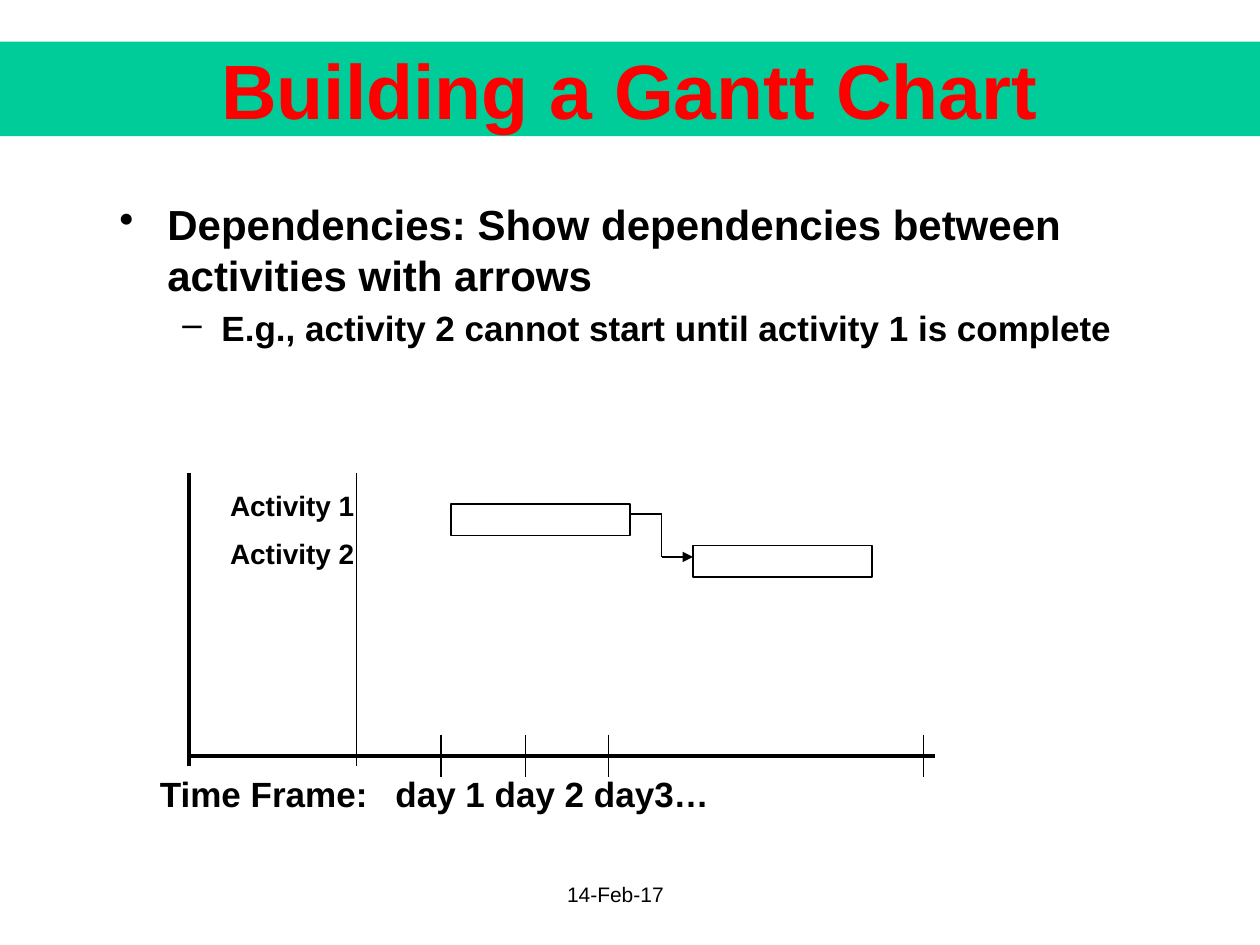
"""Build a slide that shows a dependency arrow in a Gantt chart."""
from typing import NamedTuple, Optional

from lxml.etree import SubElement
from pptx import Presentation
from pptx.dml.color import RGBColor
from pptx.enum.shapes import MSO_CONNECTOR as Connector, MSO_SHAPE as Shape
from pptx.enum.text import MSO_ANCHOR as Anchor, PP_ALIGN as Align
from pptx.oxml.ns import qn
from pptx.util import Inches, Pt

BLACK = RGBColor(0x00, 0x00, 0x00)
RED = RGBColor(0xFF, 0x00, 0x00)
GREEN = RGBColor(0x00, 0xCC, 0x99)
FONT = "Arial"
THIN, THICK = 0.75, 2.25
CHART_TOP, CHART_BOTTOM, AXIS_Y = 3.75, 6.08, 6
TICK_REACH = 0.17


class Line(NamedTuple):
    x1: float
    y1: float
    x2: float
    y2: float
    width: float = THIN
    arrow: bool = False


class Para(NamedTuple):
    text: str
    size: float
    bold: bool = True
    color: RGBColor = BLACK
    align: Align = Align.LEFT
    before: float = 0
    level: int = 0
    bullet: str = ""
    margin: float = 0
    hanging: float = 0
    tab: float = 0


class Box(NamedTuple):
    left: float
    top: float
    width: float
    height: float
    paras: tuple[Para, ...]
    inset: Optional[float] = None


class Bar(NamedTuple):
    left: float
    top: float
    width: float = 1.42
    height: float = 0.25


LINES = [
    Line(1.5, CHART_TOP, 1.5, CHART_BOTTOM, THICK),
    Line(1.5, AXIS_Y, 7.42, AXIS_Y, THICK),
    Line(2.83, CHART_TOP, 2.83, CHART_BOTTOM),
    *(Line(x, AXIS_Y - TICK_REACH, x, AXIS_Y + TICK_REACH)
      for x in (3.5, 4.17, 4.83, 7.33)),
    Line(5, 4.08, 5.25, 4.08),
    Line(5.25, 4.08, 5.25, 4.42),
    Line(5.25, 4.42, 5.5, 4.42, arrow=True),
]
BARS = [Bar(3.58, 4), Bar(5.5, 4.33)]
BOXES = [
    Box(0.85, 1.53, 8.5, 4.5, (
        Para("Dependencies: Show dependencies between activities with arrows",
             24, bullet="•", margin=0.38, hanging=0.38),
        Para("E.g., activity 2 cannot start until activity 1 is complete",
             20, before=4, level=1, bullet="–", margin=0.81, hanging=0.31),
    )),
    Box(1.58, 3.83, 1.33, 1.17, (
        Para("Activity 1", 16, align=Align.RIGHT),
        Para("Activity 2", 16, align=Align.RIGHT, before=8),
    )),
    Box(1.17, 6.08, 6.83, 0.44,
        (Para("Time Frame:\tday 1 day 2 day3…", 20, tab=1.87),)),
    Box(4.5, 7, 1.59, 0.17, (Para("14-Feb-17", 12, bold=False),), inset=0),
]


def write_paras(frame, paras: tuple[Para, ...]) -> None:
    for index, item in enumerate(paras):
        para = frame.paragraphs[0] if index == 0 else frame.add_paragraph()
        props = para._p.get_or_add_pPr()
        if item.bullet:
            props.set("marL", str(Inches(item.margin)))
            props.set("indent", str(-Inches(item.hanging)))
            SubElement(props, qn("a:buChar"), char=item.bullet)
        if item.tab:
            tabs = SubElement(props, qn("a:tabLst"))
            SubElement(tabs, qn("a:tab"), pos=str(Inches(item.tab)), algn="l")
        para.alignment = item.align
        para.level = item.level
        if item.before:
            para.space_before = Pt(item.before)
        span = para.add_run()
        span.text = item.text
        span.font.name = FONT
        span.font.size = Pt(item.size)
        span.font.bold = item.bold
        span.font.color.rgb = item.color


def draw_line(page, item: Line) -> None:
    line = page.shapes.add_connector(
        Connector.STRAIGHT, Inches(item.x1), Inches(item.y1),
        Inches(item.x2), Inches(item.y2))
    line.line.color.rgb = BLACK
    line.line.width = Pt(item.width)
    if item.arrow:
        SubElement(line.line._get_or_add_ln(), qn("a:tailEnd"), type="triangle")
    SubElement(line._element.spPr, qn("a:effectLst"))


def draw_bar(page, item: Bar) -> None:
    bar = page.shapes.add_shape(Shape.RECTANGLE, *map(Inches, item))
    bar.shadow.inherit = False
    bar.fill.background()
    bar.line.color.rgb = BLACK
    bar.line.width = Pt(THIN)


def draw_box(page, item: Box) -> None:
    box = page.shapes.add_textbox(*map(Inches, item[:4]))
    frame = box.text_frame
    frame.word_wrap = True
    if item.inset is not None:
        frame.margin_left = frame.margin_right = Inches(item.inset)
        frame.margin_top = frame.margin_bottom = Inches(item.inset)
    write_paras(frame, item.paras)


def draw_title(page, text: str) -> None:
    band = page.shapes.add_shape(
        Shape.RECTANGLE, Inches(0), Inches(0.33), Inches(10), Inches(0.75))
    band.shadow.inherit = False
    band.fill.solid()
    band.fill.fore_color.rgb = GREEN
    band.line.fill.background()
    band.text_frame.word_wrap = True
    band.text_frame.vertical_anchor = Anchor.MIDDLE
    write_paras(band.text_frame,
                (Para(text, 44, color=RED, align=Align.CENTER),))


def main() -> None:
    deck = Presentation()
    deck.slide_width, deck.slide_height = Inches(10), Inches(7.5)
    page = deck.slides.add_slide(deck.slide_layouts[6])
    draw_title(page, "Building a Gantt Chart")
    for box in BOXES:
        draw_box(page, box)
    for bar in BARS:
        draw_bar(page, bar)
    for line in LINES:
        draw_line(page, line)
    deck.save("out.pptx")


if __name__ == "__main__":
    main()
